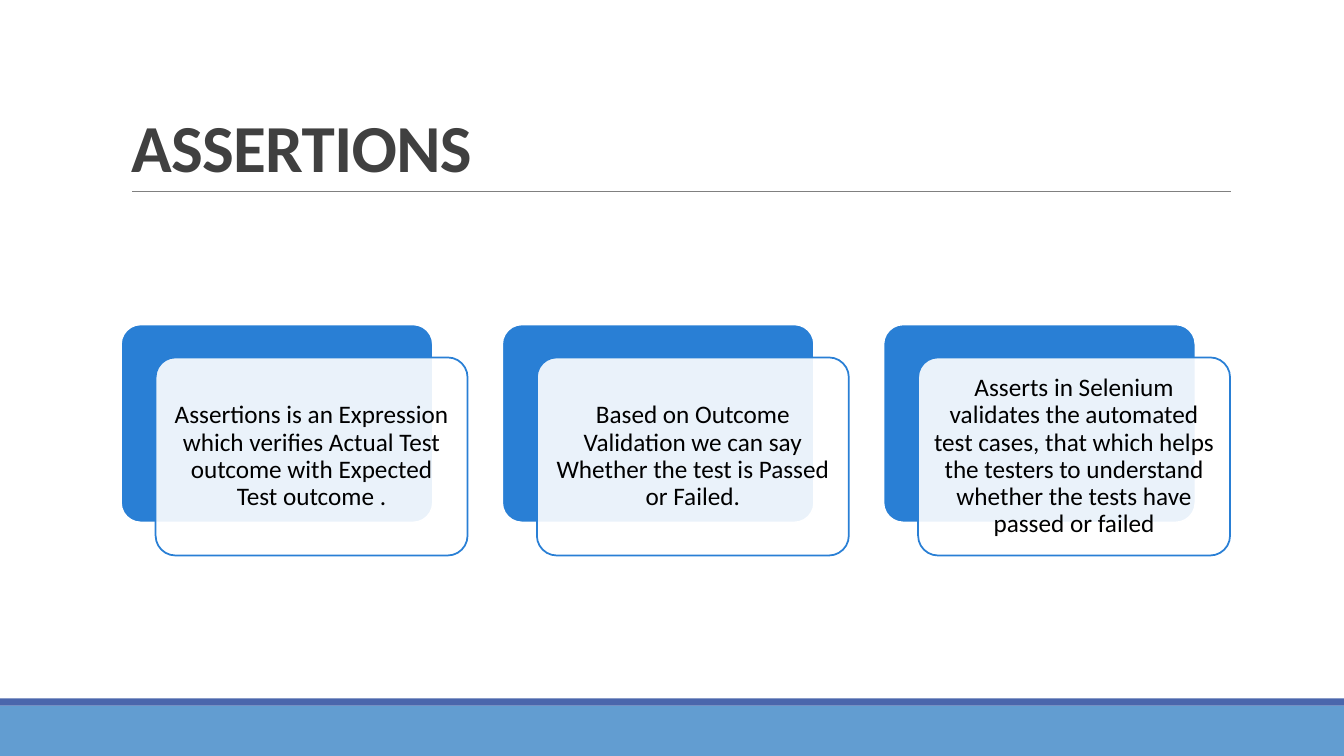
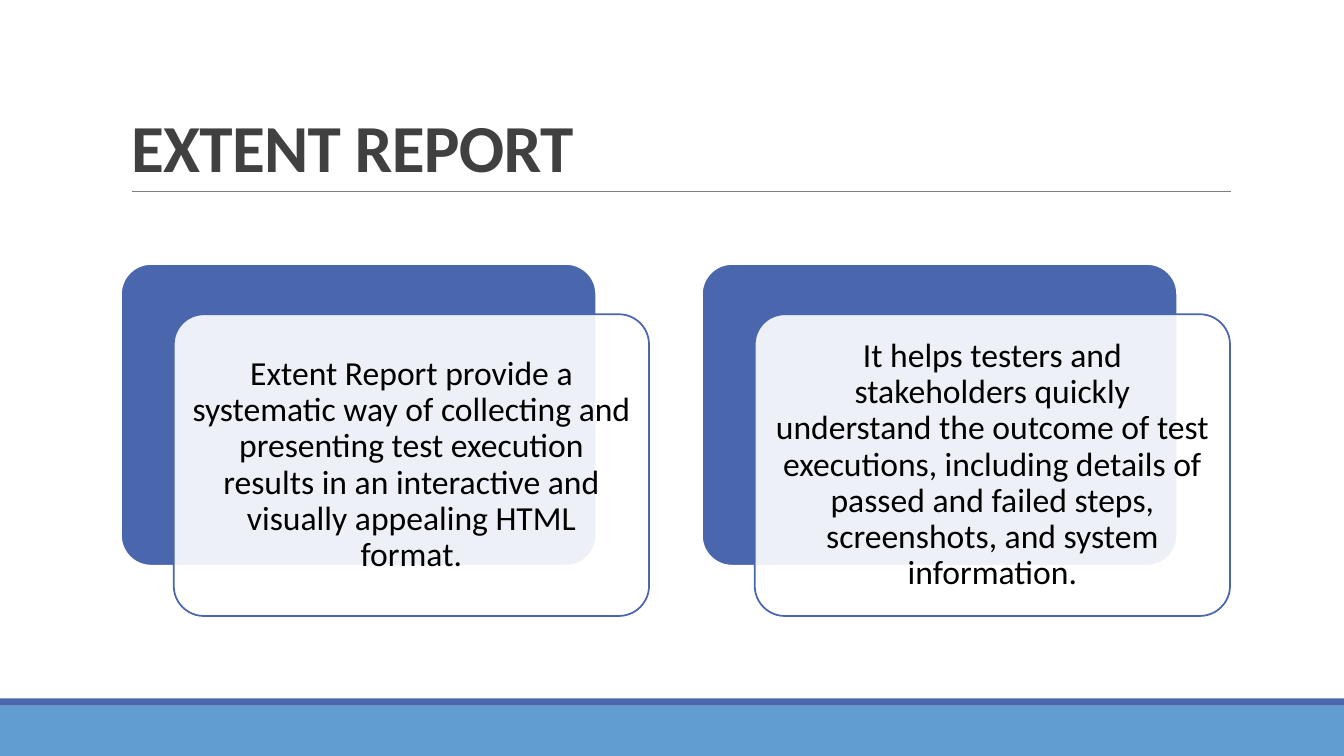
import lxml.etree
import pptx
import pptx.dml.color
import pptx.enum.shapes
import pptx.enum.text
import pptx.oxml.ns
import pptx.util

Inches = pptx.util.Inches
Pt = pptx.util.Pt
SHAPES = pptx.enum.shapes.MSO_SHAPE
ALIGN = pptx.enum.text.PP_ALIGN
ANCHOR = pptx.enum.text.MSO_ANCHOR

FONT = "Calibri"
WHITE = "FFFFFF"
BLACK = "000000"
TITLE_GREY = "404040"
RULE_GREY = "808080"
SKY = "629DD1"
BLUE = "297FD5"
INDIGO = "4A66AC"

CONTENT_LEFT = 1.2
CONTENT_WIDTH = 11
CARDS_MIDDLE = 4.365

ASSERTION_NOTES = [
    "Assertions is an Expression which verifies Actual Test outcome with Expected Test outcome .",
    "Based on Outcome Validation we can say Whether the test is Passed or Failed.",
    "Asserts in Selenium validates the automated test cases, that which helps the testers "
    "to understand whether the tests have passed or failed",
]
REPORT_NOTES = [
    "Extent Report provide a systematic way of collecting and presenting test execution "
    "results in an interactive and visually appealing HTML format.",
    "It helps testers and stakeholders quickly understand the outcome of test executions, "
    "including details of passed and failed steps, screenshots, and system information.",
]


def rgb(code):
    return pptx.dml.color.RGBColor.from_string(code)


def write_text(shape, text, size, color, bold=False, align=ALIGN.LEFT,
               anchor=ANCHOR.MIDDLE, line_spacing=0.9, spacing=0, inset=None):
    frame = shape.text_frame
    frame.word_wrap = True
    frame.auto_size = pptx.enum.text.MSO_AUTO_SIZE.NONE
    frame.vertical_anchor = anchor
    if inset is not None:
        frame.margin_left = frame.margin_right = Inches(inset)
        frame.margin_top = frame.margin_bottom = Inches(inset)
    paragraph = frame.paragraphs[0]
    paragraph.alignment = align
    paragraph.line_spacing = line_spacing
    run = paragraph.add_run()
    run.text = text
    run.font.name = FONT
    run.font.size = Pt(size)
    run.font.bold = bold
    run.font.color.rgb = rgb(color)
    if spacing:
        run.font._element.set("spc", str(int(spacing * 100)))


def add_block(slide, kind, left, top, width, height, fill, line=None, opacity=100):
    block = slide.shapes.add_shape(
        kind, Inches(left), Inches(top), Inches(width), Inches(height))
    block.shadow.inherit = False
    block.fill.solid()
    block.fill.fore_color.rgb = rgb(fill)
    if opacity < 100:
        color = block._element.xpath("./p:spPr/a:solidFill/a:srgbClr")[0]
        alpha = lxml.etree.SubElement(color, pptx.oxml.ns.qn("a:alpha"))
        alpha.set("val", str(opacity * 1000))
    if line:
        block.line.color.rgb = rgb(line)
        block.line.width = Pt(1.25)
    else:
        block.line.fill.background()
    return block


def add_title_rule(slide):
    rule = slide.shapes.add_connector(
        pptx.enum.shapes.MSO_CONNECTOR.STRAIGHT,
        Inches(1.31), Inches(1.9), Inches(12.21), Inches(1.9))
    rule.line.color.rgb = rgb(RULE_GREY)
    rule.line.width = Pt(0.5)
    lxml.etree.SubElement(rule._element.spPr, pptx.oxml.ns.qn("a:effectLst"))


def add_titled_slide(deck, heading):
    slide = deck.slides.add_slide(deck.slide_layouts[5])
    add_block(slide, SHAPES.RECTANGLE, 0, 7, 13.33, 0.5, SKY)
    add_block(slide, SHAPES.RECTANGLE, 0, 6.93, 13.33, 0.07, INDIGO)
    add_title_rule(slide)
    title = slide.shapes.title
    title.left, title.top = Inches(CONTENT_LEFT), Inches(0.31)
    title.width, title.height = Inches(CONTENT_WIDTH), Inches(1.59)
    write_text(title, heading, size=48, color=TITLE_GREY, bold=True,
               anchor=ANCHOR.BOTTOM, line_spacing=0.85, spacing=-0.5)
    return slide


def add_layered_cards(slide, notes, color, size, inset):
    width = CONTENT_WIDTH * 9 / (11 * len(notes) - 1)
    height = width * 0.635
    shift_x, shift_y = width / 9, height / 6
    pitch = width + 2 * shift_x
    top = CARDS_MIDDLE - (height + shift_y) / 2
    for index, note in enumerate(notes):
        left = CONTENT_LEFT + index * pitch
        back = add_block(slide, SHAPES.ROUNDED_RECTANGLE, left, top,
                         width, height, color, line=WHITE)
        front = add_block(slide, SHAPES.ROUNDED_RECTANGLE, left + shift_x, top + shift_y,
                          width, height, WHITE, line=color, opacity=90)
        back.adjustments[0] = front.adjustments[0] = 0.1
        write_text(front, note, size=size, color=BLACK, align=ALIGN.CENTER, inset=inset)


def main():
    deck = pptx.Presentation()
    deck.slide_width, deck.slide_height = Inches(13.33), Inches(7.5)
    assertions = add_titled_slide(deck, "ASSERTIONS")
    add_layered_cards(assertions, ASSERTION_NOTES, BLUE, size=18, inset=0.07)
    report = add_titled_slide(deck, "EXTENT REPORT")
    add_layered_cards(report, REPORT_NOTES, INDIGO, size=24, inset=0.1)
    deck.save("out.pptx")


if __name__ == "__main__":
    main()
